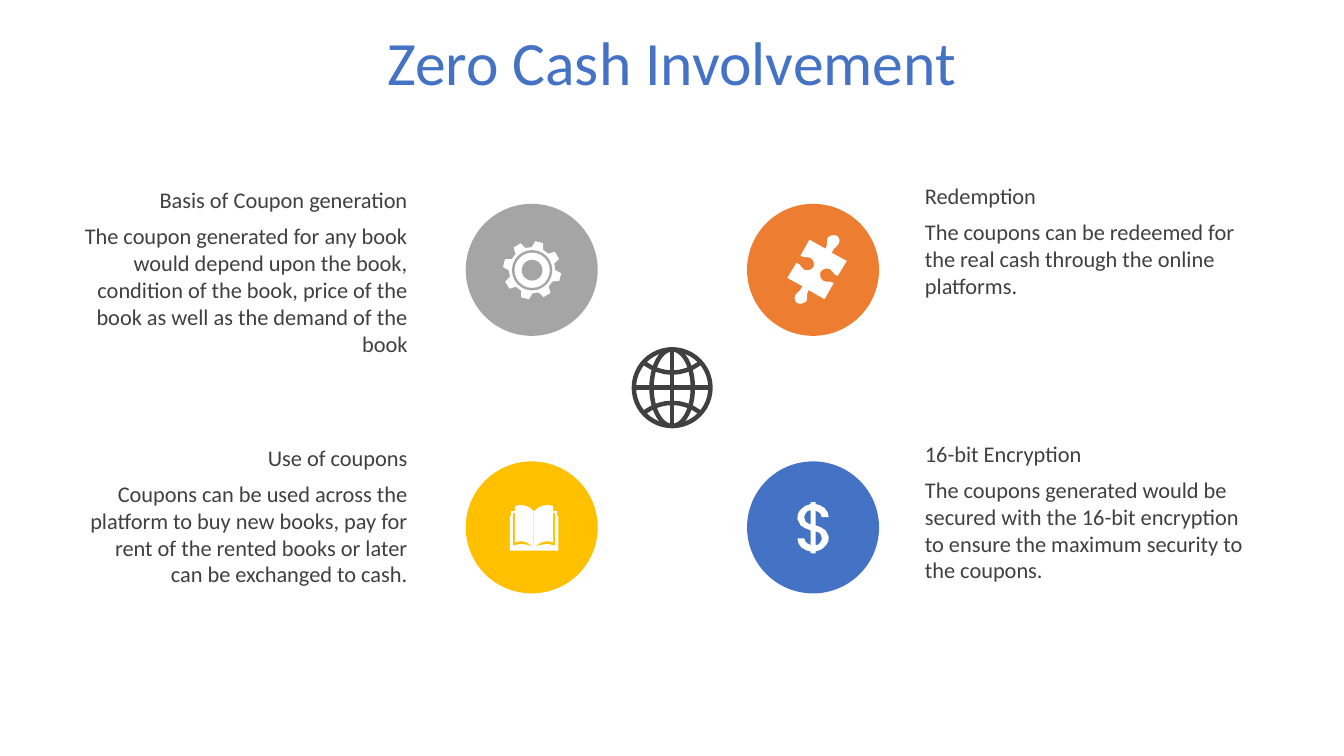
"""Build the "Zero Cash Involvement" slide: four coupon topics around a globe."""
import math
from lxml import etree
from pptx import Presentation
from pptx.dml.color import RGBColor
from pptx.enum import shapes, text
from pptx.oxml import ns
from pptx.util import Cm, Pt

BLUE = RGBColor(0x44, 0x72, 0xC4)
ORANGE = RGBColor(0xED, 0x7D, 0x31)
GREY = RGBColor(0xA5, 0xA5, 0xA5)
GOLD = RGBColor(0xFF, 0xC0, 0x00)
DARK = RGBColor(0x40, 0x40, 0x40)
WHITE = RGBColor(0xFF, 0xFF, 0xFF)

TITLE = "Zero Cash Involvement"
TOPICS = [
    (0, 0, GREY, "Basis of Coupon generation",
     "The coupon generated for any book would depend upon the book, condition of the book, "
     "price of the book as well as the demand of the book", 3.68),
    (1, 0, ORANGE, "Redemption",
     "The coupons can be redeemed for the real cash through the online platforms.", 2.31),
    (0, 1, GOLD, "Use of coupons",
     "Coupons can be used across the platform to buy new books, pay for rent of the rented "
     "books or later can be exchanged to cash.", 3.0),
    (1, 1, BLUE, "16-bit Encryption",
     "The coupons generated would be secured with the 16-bit encryption to ensure the maximum "
     "security to the coupons.", 3.0),
]
COLUMNS = [(1.73, 4.57, 13.4, text.PP_ALIGN.RIGHT), (23.06, 4.47, 20.49, text.PP_ALIGN.LEFT)]
ROW_STEP = 6.49
DISC_Y, DISC_RADIUS = 6.8, 65.5
HEAD_HEIGHT, BODY_DROP, TEXT_WIDTH = 0.94, 0.91, 8.79

UNIT = Cm(2.54) / 100
GLOBE = (16.94, 9.77)
GLOBE_RADIUS, MERIDIAN_RADIUS, GLOBE_LINE = 38, 20.5, Pt(3.2)
PARALLEL = [(-27, 24), (-10, 12, 10, 12, 27, 24)]
GEAR = (13.41, 6.81)
GEAR_RINGS = [(20, GREY), (17.5, WHITE), (10.3, GREY)]

BOOK_HALF = [
    [(0, -16.5), (4, -20.5, 8, -22.5, 12, -22.5), (14, -22.5, 16, -22.5, 19, -21.5),
     (19, -16.5), (23, -16.5), (23, -11.5), (24, -11.5), (24, 22.5), (0, 22.5)],
    [(1, 18.5), (9, 16.5, 12, 14.5, 21, 17.5), (21, -14.5), (19, -14.5), (19, 14.5),
     (13, 11.5, 7, 13.5, 1, 18.5)],
    [(0, -16.5), (0.4, -16.5), (0.4, 18.5), (0, 18.5)],
]
PUZZLE_HALF = [
    (19.5, -33.5), (21.5, -32.5, 23.5, -28.5, 21.5, -25.5), (19.5, -21.5, 16.5, -22.5, 14.5, -16.5),
    (29.5, -8.5), (20.5, 6.5), (15.5, 5.5, 16.5, 1.5, 12.5, -0.5), (8.5, -1.5, 5.5, -0.5, 3.5, 2.5),
    (2.5, 4.5, 2.5, 9.5, 6.5, 11.5), (11.5, 13.5, 11.5, 10.5, 16.5, 13.5), (7.5, 29.5),
    (-8.5, 20.5), (-11.5, 25.5, -8.5, 26.5, -10.5, 31.5), (-13.5, 34.5, -17.5, 34.5, -19.5, 33.5),
]
DOLLAR_HALF = [
    (2.5, -25.5), (2.5, -23.5), (3.5, -23.5, 5.5, -22.5, 6.5, -22.5),
    (12.5, -20.5, 15.5, -15.5, 15.5, -10.5), (8.5, -10.5), (8.5, -13.5, 6.5, -15.5, 3.5, -16.5),
    (2.5, -17.5), (2.5, -2.5), (7.5, -0.5, 13.5, 0.5, 15.5, 8.5),
    (16.5, 13.5, 13.5, 17.5, 9.5, 20.5), (7.5, 22.5, 4.5, 22.5, 2.5, 23.5), (2.5, 25.5),
]
DOLLAR_HOLE = [(2.5, 3.5), (2.5, 17.5), (5.5, 16.5),
               (7.5, 14.5, 9.5, 11.5, 8.5, 9.5), (8.5, 5.5, 5.5, 4.5, 2.5, 3.5)]


def polar(radius, degrees):
    a = math.radians(degrees)
    return radius * math.cos(a), radius * math.sin(a)


def mirrored(contours, *mirrors):
    return [[tuple(v * m[i % 2] for i, v in enumerate(step)) for step in c]
            for m in mirrors for c in contours]


def turned_whole(half):
    return half + mirrored([half], (-1, -1))[0]


def flatten(contour, steps):
    pts = [contour[0]]
    for step in contour[1:]:
        if len(step) == 2:
            pts.append(step)
            continue
        xs, ys = ((pts[-1][k], *step[k::2]) for k in (0, 1))
        for t in (n / steps for n in range(1, steps + 1)):
            w = ((1 - t) ** 3, 3 * t * (1 - t) ** 2, 3 * t * t * (1 - t), t ** 3)
            pts.append(tuple(sum(a * b for a, b in zip(w, vs)) for vs in (xs, ys)))
    return pts


GEAR_TEETH = [polar(radius, tooth * 45 - 76 + offset) for tooth in range(8)
              for radius, offset in ((23, -14.5), (29, -8), (29, 8), (23, 14.5))]
ICONS = [
    (*GEAR, [GEAR_TEETH]),
    (20.59, 6.79, [turned_whole(PUZZLE_HALF)]),
    (13.46, 13.3, mirrored(BOOK_HALF, (1, 1), (-1, 1))),
    (20.49, 13.3, [turned_whole(DOLLAR_HALF)] + mirrored([DOLLAR_HOLE], (1, 1), (-1, -1))),
]


def paint(sp, color):
    sp.shadow.inherit = False
    sp.fill.solid()
    sp.fill.fore_color.rgb = color
    sp.line.fill.background()


def stroke(sp):
    sp.line.color.rgb = DARK
    sp.line.width = GLOBE_LINE


def outline(sp):
    sp.shadow.inherit = False
    sp.fill.background()
    stroke(sp)


def write(tf, content, size, color, **para):
    tf.word_wrap = True
    p = tf.paragraphs[0]
    for name, value in para.items():
        setattr(p, name, value)
    r = p.add_run()
    r.text = content
    for name, value in {"name": "Calibri", "size": Pt(size)}.items():
        setattr(r.font, name, value)
    r.font.color.rgb = color


def add_text(s, x, y, height, content, align):
    tf = s.shapes.add_textbox(Cm(x), Cm(y), Cm(TEXT_WIDTH), Cm(height)).text_frame
    write(tf, content, 16, DARK, alignment=align)
    tf.auto_size = text.MSO_AUTO_SIZE.SHAPE_TO_FIT_TEXT


def add_oval(s, x, y, rx, ry):
    rx, ry = rx * UNIT, ry * UNIT
    box = (Cm(x) - rx, Cm(y) - ry, 2 * rx, 2 * ry)
    return s.shapes.add_shape(shapes.MSO_SHAPE.OVAL, *map(round, box))


def add_outline(s, x, y, contours, close=True, steps=3):
    fb = None
    for contour in contours:
        pts = [(Cm(x) + px * UNIT, Cm(y) + py * UNIT) for px, py in flatten(contour, steps)]
        if fb is None:
            fb = s.shapes.build_freeform(*pts[0])
        else:
            fb.move_to(*pts[0])
        fb.add_line_segments(pts[1:], close=close)
    return fb.convert_to_shape()


def add_globe(s):
    x, y = GLOBE
    for rx in (GLOBE_RADIUS, MERIDIAN_RADIUS):
        outline(add_oval(s, x, y, rx, GLOBE_RADIUS))
    for parallel in mirrored([PARALLEL], (1, 1), (1, -1)):
        outline(add_outline(s, x, y, [parallel], close=False, steps=8))
    reach = round(GLOBE_RADIUS * UNIT)
    for dx, dy in ((reach, 0), (0, reach)):
        axis = s.shapes.add_connector(shapes.MSO_CONNECTOR.STRAIGHT, Cm(x) - dx, Cm(y) - dy,
                                      Cm(x) + dx, Cm(y) + dy)
        stroke(axis)
        etree.SubElement(axis.element.spPr, ns.qn("a:effectLst"))


def main():
    prs = Presentation()
    prs.slide_width, prs.slide_height = Cm(33.87), Cm(19.05)
    s = prs.slides.add_slide(prs.slide_layouts[5])
    title = s.shapes.title
    for name, value in {"left": 0, "top": 0, "width": Cm(33.87), "height": Cm(3.28)}.items():
        setattr(title, name, value)
    tf = title.text_frame
    write(tf, TITLE, 44, BLUE, alignment=text.PP_ALIGN.CENTER, line_spacing=0.9)
    tf.vertical_anchor = text.MSO_ANCHOR.MIDDLE
    tf.auto_size = text.MSO_AUTO_SIZE.NONE

    add_globe(s)
    for col, row, color, head, body, body_height in TOPICS:
        x, top, disc_x, align = COLUMNS[col]
        y = top + row * ROW_STEP
        paint(add_oval(s, disc_x, DISC_Y + row * ROW_STEP, DISC_RADIUS, DISC_RADIUS), color)
        add_text(s, x, y, HEAD_HEIGHT, head, align)
        add_text(s, x, y + BODY_DROP, body_height, body, align)
    for x, y, contours in ICONS:
        paint(add_outline(s, x, y, contours), WHITE)
    for radius, color in GEAR_RINGS:
        paint(add_oval(s, *GEAR, radius, radius), color)
    prs.save("out.pptx")


if __name__ == "__main__":
    main()
